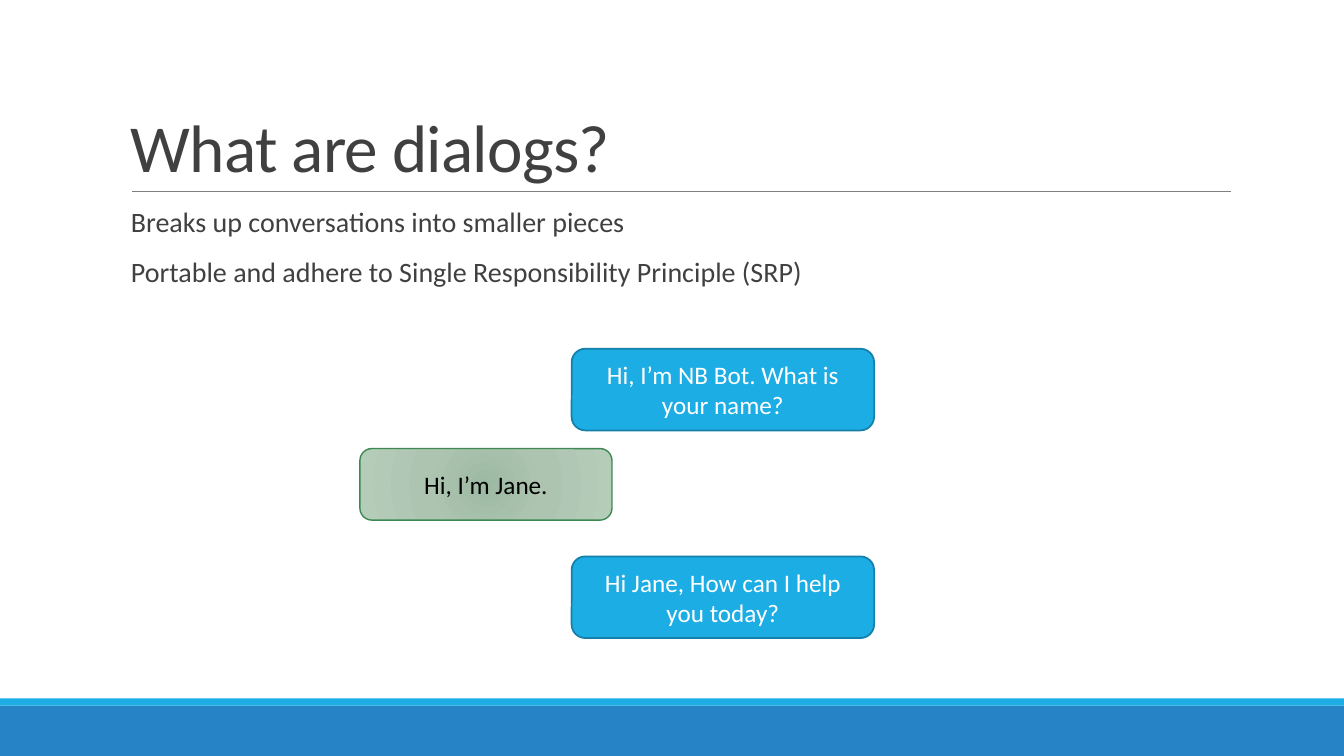
from lxml import etree
from pptx import Presentation
from pptx.dml.color import RGBColor
from pptx.enum.shapes import MSO_CONNECTOR, MSO_SHAPE
from pptx.enum.text import MSO_ANCHOR, PP_ALIGN
from pptx.oxml import parse_xml
from pptx.oxml.ns import nsdecls, qn
from pptx.util import Inches, Pt

RECT, ROUNDED = MSO_SHAPE.RECTANGLE, MSO_SHAPE.ROUNDED_RECTANGLE
STRAIGHT = MSO_CONNECTOR.STRAIGHT
TOP, MIDDLE, BOTTOM = MSO_ANCHOR.TOP, MSO_ANCHOR.MIDDLE, MSO_ANCHOR.BOTTOM
LEFT, CENTER = PP_ALIGN.LEFT, PP_ALIGN.CENTER

# Content
TITLE = "What are dialogs?"
POINTS = [
    "Breaks up conversations into smaller pieces",
    "Portable and adhere to Single Responsibility Principle (SRP)",
]
CHAT = [  # speaker, top, message
    ("bot", 3.46, "Hi, I’m NB Bot. What is your name?"),
    ("user", 4.45, "Hi, I’m Jane."),
    ("bot", 5.52, "Hi Jane, How can I help you today?"),
]

THEME = {
    "font": "Calibri",
    "title_size": 48, "point_size": 20, "chat_size": 18,
    "text": "404040", "rule": "808080",
    "footer": "2683C6", "accent": "1CADE4",
}
SPEAKERS = {
    "bot": {"left": 5.67, "width": 3, "height": 0.81, "fill": THEME["accent"],
            "line": "1580A9", "weight": 1.25, "text": "FFFFFF"},
    "user": {"left": 3.57, "width": 2.5, "height": 0.71,
             "fill": [(0, "9DBAA3"), (45, "ADC4B1"), (100, "B4CDB9")],
             "line": "3E8853", "weight": 1, "text": "000000"},
}
SLIDE_WIDTH, SLIDE_HEIGHT = 13.33, 7.5
FOOTER_TOP, STRIPE_HEIGHT = 7, 0.07

deck = Presentation()
deck.slide_width, deck.slide_height = Inches(SLIDE_WIDTH), Inches(SLIDE_HEIGHT)
slide = deck.slides.add_slide(deck.slide_layouts[6])


def color(value):
    return RGBColor.from_string(value)


def write(part, lines, size, ink, anchor, align, **spacing):
    frame = part.text_frame
    frame.word_wrap = True
    frame.vertical_anchor = anchor
    for index, line in enumerate(lines):
        paragraph = frame.paragraphs[0] if index == 0 else frame.add_paragraph()
        paragraph.alignment = align
        for name, value in spacing.items():
            if index or name != "space_before":
                setattr(paragraph, name, value)
        run = paragraph.add_run()
        run.text = line
        for name, value in {"name": THEME["font"], "size": Pt(size)}.items():
            setattr(run.font, name, value)
        run.font.color.rgb = color(ink)
    return frame


def block(kind, left, top, width, height, fill):
    part = slide.shapes.add_shape(
        kind, Inches(left), Inches(top), Inches(width), Inches(height))
    part.shadow.inherit = False
    if isinstance(fill, str):
        part.fill.solid()
        part.fill.fore_color.rgb = color(fill)
    else:
        radial_fill(part, fill)
    part.line.fill.background()
    return part


def radial_fill(part, stops):
    stop_xml = "".join(
        f'<a:gs pos="{position * 1000}"><a:srgbClr val="{shade}"/></a:gs>'
        for position, shade in stops)
    gradient = parse_xml(
        f'<a:gradFill {nsdecls("a")} rotWithShape="1"><a:gsLst>{stop_xml}</a:gsLst>'
        '<a:path path="circle"><a:fillToRect l="100000" t="100000" r="100000" '
        'b="100000"/></a:path></a:gradFill>')
    part._element.spPr.find(qn("a:prstGeom")).addnext(gradient)


# Footer bands
block(RECT, 0, FOOTER_TOP, SLIDE_WIDTH, SLIDE_HEIGHT - FOOTER_TOP, THEME["footer"])
block(RECT, 0, FOOTER_TOP - STRIPE_HEIGHT, SLIDE_WIDTH, STRIPE_HEIGHT, THEME["accent"])

# Rule under the title
rule = slide.shapes.add_connector(
    STRAIGHT, Inches(1.31), Inches(1.9), Inches(12.21), Inches(1.9))
rule.line.color.rgb = color(THEME["rule"])
rule.line.width = Pt(0.5)
etree.SubElement(rule._element.spPr, qn("a:effectLst"))

# Title
title = slide.shapes.add_textbox(Inches(1.2), Inches(0.31), Inches(11), Inches(1.59))
title_frame = write(title, [TITLE], THEME["title_size"], THEME["text"],
                    BOTTOM, LEFT, line_spacing=0.85)
title_frame.paragraphs[0].runs[0].font._element.set("spc", "-50")

# Points
points = slide.shapes.add_textbox(Inches(1.2), Inches(2.02), Inches(11), Inches(1.26))
write(points, POINTS, THEME["point_size"], THEME["text"], TOP, LEFT,
      line_spacing=0.9, space_before=Pt(12), space_after=Pt(2))

# Chat bubbles
for speaker, top, message in CHAT:
    look = SPEAKERS[speaker]
    bubble = block(ROUNDED, look["left"], top, look["width"], look["height"], look["fill"])
    bubble.line.color.rgb = color(look["line"])
    bubble.line.width = Pt(look["weight"])
    write(bubble, [message], THEME["chat_size"], look["text"], MIDDLE, CENTER)

deck.save("out.pptx")
